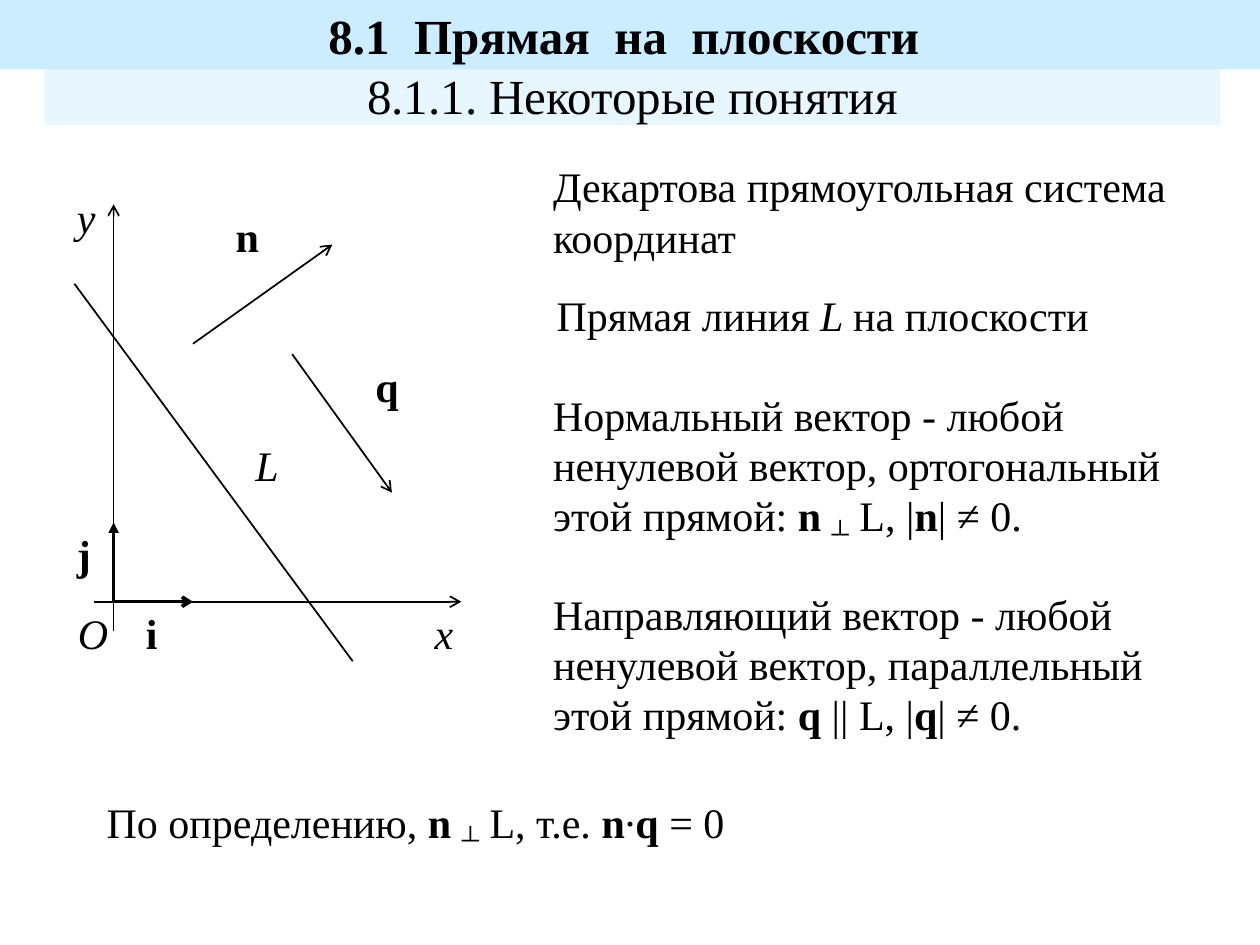
from dataclasses import dataclass

import lxml.etree
import pptx
import pptx.dml.color
import pptx.enum.shapes
import pptx.enum.text
import pptx.oxml.ns
import pptx.util
from pptx.util import Cm

FONT = "Times New Roman"
COLORS = {"ink": "000000", "band": "CCECFF"}
BODY_SIZE = 24
HEADING_SIZE = 28


@dataclass
class Run:
    text: str
    bold: bool = False
    italic: bool = False
    subscript: bool = False


@dataclass
class Text:
    left: float
    top: float
    width: float
    height: float
    runs: list[Run]
    wrap: bool = False


@dataclass
class Line:
    x1: float
    y1: float
    x2: float
    y2: float
    width: float = 1
    head: str = ""


@dataclass
class Band:
    left: float
    top: float
    width: float
    height: float
    run: Run
    opacity: int = 100


def rgb(name: str) -> pptx.dml.color.RGBColor:
    return pptx.dml.color.RGBColor.from_string(COLORS[name])


def add_child(parent, tag: str, **attributes: str) -> None:
    lxml.etree.SubElement(parent, pptx.oxml.ns.qn(tag), attributes)


def write_runs(p, runs: list[Run], size: int) -> None:
    for run in runs:
        r = p.add_run()
        r.text = run.text
        r.font.name = FONT
        r.font.size = pptx.util.Pt(size)
        r.font.color.rgb = rgb("ink")
        r.font.bold = run.bold
        r.font.italic = run.italic
        if run.subscript:
            r.font._element.set("baseline", "-25000")


def draw_band(slide, band: Band) -> None:
    sp = slide.shapes.add_shape(
        pptx.enum.shapes.MSO_SHAPE.RECTANGLE,
        Cm(band.left), Cm(band.top), Cm(band.width), Cm(band.height))
    sp.shadow.inherit = False
    sp.fill.solid()
    sp.fill.fore_color.rgb = rgb("band")
    if band.opacity < 100:
        color = sp._element.spPr.find(".//" + pptx.oxml.ns.qn("a:srgbClr"))
        add_child(color, "a:alpha", val=str(band.opacity * 1000))
    sp.line.fill.background()
    tf = sp.text_frame
    tf.word_wrap = True
    tf.vertical_anchor = pptx.enum.text.MSO_ANCHOR.MIDDLE
    p = tf.paragraphs[0]
    p.alignment = pptx.enum.text.PP_ALIGN.CENTER
    write_runs(p, [band.run], HEADING_SIZE)


def draw_line(slide, line: Line) -> None:
    cxn = slide.shapes.add_connector(
        pptx.enum.shapes.MSO_CONNECTOR.STRAIGHT,
        Cm(line.x1), Cm(line.y1), Cm(line.x2), Cm(line.y2))
    cxn.line.color.rgb = rgb("ink")
    cxn.line.width = pptx.util.Pt(line.width)
    if line.head:
        add_child(cxn.line._get_or_add_ln(), "a:tailEnd", type=line.head)
    add_child(cxn._element.spPr, "a:effectLst")


def draw_text(slide, text: Text) -> None:
    box = slide.shapes.add_textbox(
        Cm(text.left), Cm(text.top), Cm(text.width), Cm(text.height))
    tf = box.text_frame
    tf.word_wrap = text.wrap
    tf.auto_size = pptx.enum.text.MSO_AUTO_SIZE.SHAPE_TO_FIT_TEXT
    write_runs(tf.paragraphs[0], text.runs, BODY_SIZE)


def label(left: float, top: float, width: float, name: str, vector: bool = False) -> Text:
    """Vectors are set in bold, points, axes and lines in italics."""
    return Text(left, top, width, 1.27, [Run(name, bold=vector, italic=not vector)])


ORIGIN_X, ORIGIN_Y = 2.29, 12.13
UNIT = 1.6
COLUMN = 10.9

BANDS = [
    Band(0, 0, 25.4, 1.4, Run("8.1  Прямая  на  плоскости ", bold=True)),
    Band(0.9, 1.32, 23.7, 1.2, Run("8.1.1. Некоторые понятия"), opacity=45),
]

LINES = [
    Line(3.89, 6.93, 6.7, 4.93, head="arrow"),
    Line(5.89, 7.14, 7.9, 9.93, head="arrow"),
    Line(1.5, 5.72, 7.11, 13.33),
    Line(ORIGIN_X, 12.73, ORIGIN_X, 4.12, head="arrow"),
    Line(1.9, ORIGIN_Y, 9.3, ORIGIN_Y, head="arrow"),
    Line(ORIGIN_X, ORIGIN_Y, ORIGIN_X, ORIGIN_Y - UNIT, 2, "triangle"),
    Line(ORIGIN_X, ORIGIN_Y, ORIGIN_X + UNIT, ORIGIN_Y, 2, "arrow"),
]

LABELS = [
    label(4.5, 4.12, 0.97, "n", vector=True),
    label(7.32, 7.14, 0.97, "q", vector=True),
    label(4.9, 8.74, 0.97, "L"),
    label(8.51, ORIGIN_Y, 0.89, "x"),
    label(1.3, 3.73, 0.89, "y"),
    label(1.32, ORIGIN_Y, 1.12, "O"),
    label(1.3, 10.52, 0.79, "j", vector=True),
    label(2.69, ORIGIN_Y, 0.74, "i", vector=True),
]

NORMAL_TO_LINE = [Run("n ", bold=True), Run("┴", subscript=True)]

STATEMENTS = [
    Text(COLUMN, 3.12, 13.6, 2.29,
         [Run("Декартова прямоугольная система координат")], wrap=True),
    Text(10.97, 5.72, 11.25, 1.27,
         [Run("Прямая линия "), Run("L ", italic=True), Run("на плоскости")]),
    Text(COLUMN, 7.72, 13.6, 3.45,
         [Run("Нормальный вектор - любой ненулевой вектор, ортогональный этой прямой: "),
          *NORMAL_TO_LINE, Run(" L, |"), Run("n", bold=True), Run("| ≠ 0.")], wrap=True),
    Text(COLUMN, 11.73, 13.2, 3.3,
         [Run("Направляющий вектор - любой ненулевой вектор, параллельный этой прямой: "),
          Run("q", bold=True), Run(" || L, |"), Run("q", bold=True), Run("| ≠ 0.")], wrap=True),
    Text(1.9, 15.93, 13.03, 1.42,
         [Run("По определению, "), *NORMAL_TO_LINE, Run(" L, т.е. "),
          Run("n", bold=True), Run("∙"), Run("q", bold=True), Run(" = 0")]),
]


def main() -> None:
    prs = pptx.Presentation()
    prs.slide_width, prs.slide_height = Cm(25.4), Cm(19.05)
    slide = prs.slides.add_slide(prs.slide_layouts[6])
    for band in BANDS:
        draw_band(slide, band)
    for line in LINES:
        draw_line(slide, line)
    for text in LABELS + STATEMENTS:
        draw_text(slide, text)
    prs.save("out.pptx")


if __name__ == "__main__":
    main()
